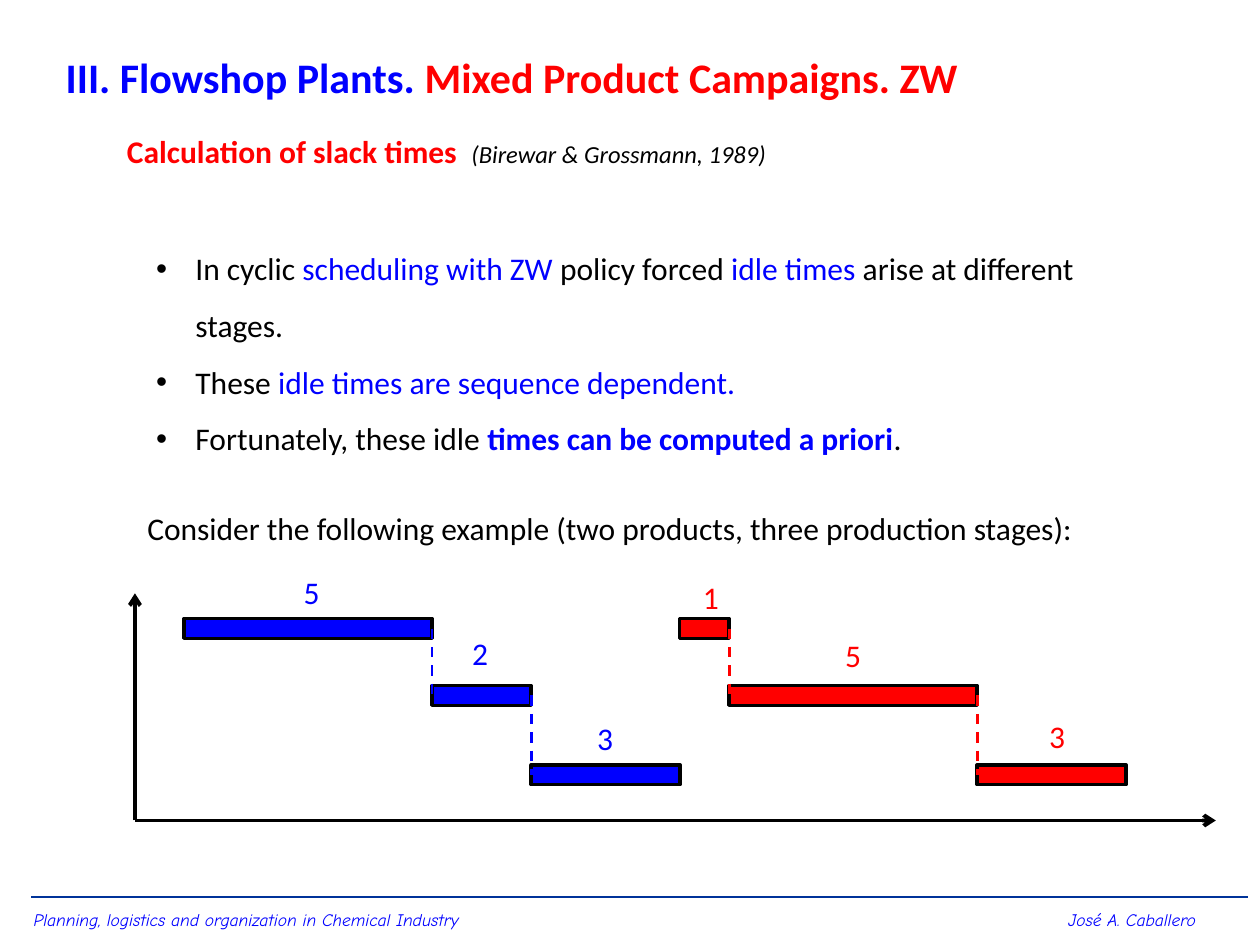
from pptx import Presentation
from pptx.dml.color import RGBColor
from pptx.enum.dml import MSO_LINE_DASH_STYLE as Dash
from pptx.enum.shapes import MSO_CONNECTOR, MSO_SHAPE
from pptx.enum.text import MSO_ANCHOR, PP_ALIGN
from pptx.oxml.ns import qn
from pptx.util import Cm, Pt
from lxml.etree import SubElement

COLORS = {"blue": "0000FF", "red": "FF0000", "black": "000000", "navy": "003399"}

TITLE = [("III. Flowshop Plants. ", "blue", {}), ("Mixed Product Campaigns. ZW", "red", {})]
SUBTITLE = [
    ("Calculation of slack times  ", "red", {"bold": True}),
    ("(Birewar & Grossmann, 1989)", "black", {"size": Pt(14), "italic": True}),
]
BULLETS = [
    [
        ("In cyclic ", "black", {}),
        ("scheduling with ZW ", "blue", {}),
        ("policy forced ", "black", {}),
        ("idle times ", "blue", {}),
        ("arise at different stages.", "black", {}),
    ],
    [("These ", "black", {}), ("idle times are sequence dependent.", "blue", {})],
    [
        ("Fortunately, these idle ", "black", {}),
        ("times can be computed a priori", "blue", {"bold": True}),
        (".", "black", {}),
    ],
]
EXAMPLE = "Consider the following example (two products, three production stages):"
FOOTERS = [
    ("José A. Caballero", 21.29, 18.19, 3.4),
    ("Planning, logistics and organization in Chemical Industry", 0.43, 18.21, 9.88),
]
PRODUCTS = [
    {"color": "blue", "start": 3.71, "durations": [5, 2, 3],
     "labels": [(5.87, 11.43), (9.27, 12.65), (11.79, 14.38)]},
    {"color": "red", "start": 13.7, "durations": [1, 5, 3],
     "labels": [(13.92, 11.53), (16.79, 12.7), (20.9, 14.33)]},
]
STAGE_TOPS = [12.47, 13.82, 15.42]
BAR_HEIGHT = 0.4
CM_PER_HOUR = 1
ORIGIN = (2.72, 16.54)
AXIS_ENDS = [(2.72, 11.96), (24.51, 16.54)]


def rgb(color):
    return RGBColor.from_string(COLORS[color])


def fill_paragraph(paragraph, runs, size=18, name="Calibri"):
    paragraph.font.size = Pt(size)
    paragraph.font.name = name
    for text, color, formats in runs:
        run = paragraph.add_run()
        run.text = text
        run.font.color.rgb = rgb(color)
        for key, value in formats.items():
            setattr(run.font, key, value)


def add_text(shapes, box, paragraphs, wrap=False, **font):
    frame = shapes.add_textbox(*map(Cm, box)).text_frame
    frame.word_wrap = wrap
    for index, runs in enumerate(paragraphs):
        paragraph = frame.add_paragraph() if index else frame.paragraphs[0]
        fill_paragraph(paragraph, runs, **font)
    return frame


def add_line(shapes, start, end, color, width, dashed=False, arrow=False):
    line = shapes.add_connector(MSO_CONNECTOR.STRAIGHT, *map(Cm, (*start, *end)))
    line.line.color.rgb = rgb(color)
    line.line.width = Pt(width)
    if dashed:
        line.line.dash_style = Dash.DASH
    properties = line._element.spPr
    if arrow:
        SubElement(properties.find(qn("a:ln")), qn("a:tailEnd"), type="arrow")
    SubElement(properties, qn("a:effectLst"))


def add_bullet(paragraph):
    paragraph.line_spacing = 1.5
    properties = paragraph._p.get_or_add_pPr()
    properties.set("marL", str(Cm(0.79)))
    properties.set("indent", str(-Cm(0.79)))
    bullet_font = properties.makeelement(qn("a:buFont"), {"typeface": "Arial"})
    bullet = properties.makeelement(qn("a:buChar"), {"char": "•"})
    properties.find(qn("a:lnSpc")).addnext(bullet_font)
    bullet_font.addnext(bullet)


def add_product(slide, product):
    shapes = slide.shapes.add_group_shape().shapes
    color = product["color"]
    left = product["start"]
    joints = []
    for top, duration in zip(STAGE_TOPS, product["durations"]):
        width = duration * CM_PER_HOUR
        bar = shapes.add_shape(MSO_SHAPE.RECTANGLE, *map(Cm, (left, top, width, BAR_HEIGHT)))
        bar.shadow.inherit = False
        bar.fill.solid()
        bar.fill.fore_color.rgb = rgb(color)
        bar.line.color.rgb = rgb("black")
        bar.line.width = Pt(2)
        left += width
        joints.append(left)
    middles = [top + BAR_HEIGHT / 2 for top in STAGE_TOPS]
    for x, upper, lower in zip(joints, middles, middles[1:]):
        add_line(shapes, (x, upper), (x, lower), color, 1.5, dashed=True)
    for duration, place in zip(product["durations"], product["labels"]):
        add_text(shapes, (*place, 0.84, 1.02), [[(str(duration), color, {})]])


def main():
    presentation = Presentation()
    presentation.slide_width, presentation.slide_height = Cm(25.4), Cm(19.05)
    slide = presentation.slides.add_slide(presentation.slide_layouts[5])
    shapes = slide.shapes

    add_line(shapes, (0.63, 18.08), (25.15, 18.08), "navy", 1.5)
    for text, left, top, width in FOOTERS:
        add_text(shapes, (left, top, width, 0.69), [[(text, "blue", {"italic": True})]],
                 size=10, name="Comic Neue")

    title = shapes.title
    title.left, title.top, title.width, title.height = map(Cm, (1.07, 0.91, 18.64, 1.27))
    title.text_frame.word_wrap = False
    title.text_frame.vertical_anchor = MSO_ANCHOR.TOP
    heading = title.text_frame.paragraphs[0]
    heading.alignment = PP_ALIGN.LEFT
    heading.font.bold = True
    fill_paragraph(heading, TITLE, size=24)

    add_text(shapes, (2.31, 2.54, 13.51, 1.02), [SUBTITLE])
    bullets = add_text(shapes, (2.9, 4.52, 20.4, 4.88), BULLETS, wrap=True)
    for paragraph in bullets.paragraphs:
        add_bullet(paragraph)
    add_text(shapes, (2.72, 10.13, 19.41, 1.02), [[(EXAMPLE, "black", {})]])

    for end in AXIS_ENDS:
        add_line(shapes, ORIGIN, end, "black", 2.25, arrow=True)
    for product in PRODUCTS:
        add_product(slide, product)

    presentation.save("out.pptx")


if __name__ == "__main__":
    main()
